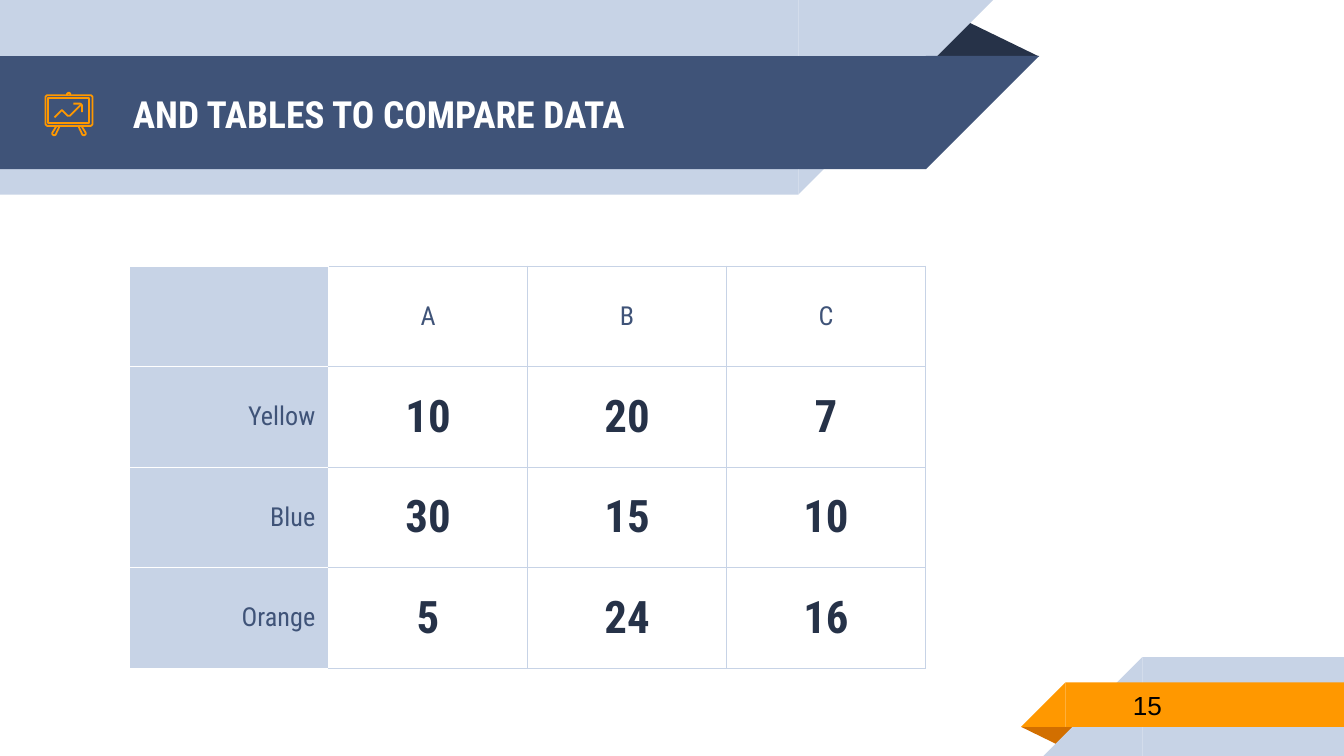
from lxml import etree
from pptx import Presentation
from pptx.dml.color import RGBColor
from pptx.enum.shapes import MSO_SHAPE
from pptx.enum.text import MSO_ANCHOR, MSO_AUTO_SIZE, PP_ALIGN
from pptx.oxml.ns import qn
from pptx.util import Cm, Pt

RECTANGLE, TRIANGLE = MSO_SHAPE.RECTANGLE, MSO_SHAPE.ISOSCELES_TRIANGLE
RIGHT_TRIANGLE = MSO_SHAPE.RIGHT_TRIANGLE
MIDDLE, NO_AUTOFIT = MSO_ANCHOR.MIDDLE, MSO_AUTO_SIZE.NONE
LEFT, CENTER, RIGHT = PP_ALIGN.LEFT, PP_ALIGN.CENTER, PP_ALIGN.RIGHT

WHITE = RGBColor(0xFF, 0xFF, 0xFF)
BLACK = RGBColor(0x00, 0x00, 0x00)
PALE = RGBColor(0xC7, 0xD3, 0xE6)
BLUE = RGBColor(0x3F, 0x53, 0x78)
NAVY = RGBColor(0x26, 0x32, 0x48)
ORANGE = RGBColor(0xFF, 0x98, 0x00)
RUST = RGBColor(0xD2, 0x6F, 0x00)
CONDENSED = "Roboto Condensed"

COMPARISON = [
    ["", "A", "B", "C"],
    ["Yellow", "10", "20", "7"],
    ["Blue", "30", "15", "10"],
    ["Orange", "5", "24", "16"],
]

LEG = [(107, 238), (99, 251), (99, 254), (102, 256), (105, 255), (113, 238)]
BOARD = [(89, 180), (172, 180), (175, 183), (175, 235), (172, 238),
         (89, 238), (86, 235), (86, 183)]
FRAME = [(91, 186), (169, 186), (169, 233), (91, 233)]
HOOK = [(127, 180), (127, 177), (130, 175), (133, 177), (133, 180)]
TREND = [(103, 222), (117, 208), (128, 219), (132, 219), (153, 198)]
ARROW = [(139, 196), (152, 196), (155, 199), (155, 212)]


def add_plain(shapes, kind, box, color):
    """Add a filled preset shape without outline or shadow."""
    shape = shapes.add_shape(kind, *[Cm(length) for length in box])
    shape.shadow.inherit = False
    shape.fill.solid()
    shape.fill.fore_color.rgb = color
    shape.line.fill.background()
    return shape


def add_fold(shapes, box, color, rotation=0):
    """Add the dark triangle that looks like a folded ribbon end."""
    fold = add_plain(shapes, TRIANGLE, box, color)
    fold.adjustments[0] = 0.324
    fold.rotation = rotation


def add_ribbon(shapes, body, tip_width, color, tip_right):
    """Add a ribbon body with a slanted tip on its right or left end."""
    left, top, width, height = body
    add_plain(shapes, RECTANGLE, body, color)
    tip_left = left + width if tip_right else left - tip_width
    tip = add_plain(shapes, RIGHT_TRIANGLE, (tip_left, top, tip_width, height), color)
    tip.element.spPr.find(qn("a:xfrm")).set("flipV" if tip_right else "flipH", "1")


def add_ribbons(slide):
    """Add the header ribbons and the page number ribbons."""
    header = slide.shapes.add_group_shape().shapes
    add_fold(header, (17.48, 0.36, 2.16, 0.71), NAVY)
    add_ribbon(header, (0, 0, 15.09, 3.68), 3.68, PALE, True)
    add_ribbon(header, (0, 1.06, 17.5, 2.14), 2.14, BLUE, True)
    footer = slide.shapes.add_group_shape().shapes
    add_fold(footer, (19.3, 13.74, 1.09, 0.36), RUST, 180)
    add_ribbon(footer, (21.59, 12.42, 3.81, 1.87), 1.87, PALE, False)
    add_ribbon(footer, (20.14, 12.9, 5.26, 0.84), 0.84, ORANGE, False)


def style_text(frame, size, color, font_name, bold=False, align=LEFT):
    """Format the only paragraph of a text frame."""
    paragraph = frame.paragraphs[0]
    paragraph.alignment = align
    font = paragraph.font
    font.size, font.name, font.bold = Pt(size), font_name, bold
    font.color.rgb = color


def fit_frame(shape, text):
    """Fill a shape with vertically centred text and equal insets."""
    frame = shape.text_frame
    frame.text = text
    frame.word_wrap = True
    frame.auto_size = NO_AUTOFIT
    frame.vertical_anchor = MIDDLE
    frame.margin_left = frame.margin_right = Cm(0.25)
    frame.margin_top = frame.margin_bottom = Cm(0.25)
    return frame


def add_title(slide, text):
    """Place the title on the header ribbon, in front of it."""
    title = slide.shapes.title
    title.left, title.top, title.width, title.height = Cm(2.26), Cm(1.09), Cm(14.6), Cm(2.13)
    style_text(fit_frame(title, text), 20, WHITE, CONDENSED, True)
    title.element.getparent().append(title.element)


def add_page_number(slide, number):
    """Write the page number on the orange ribbon."""
    box = slide.shapes.add_textbox(Cm(21.16), Cm(12.88), Cm(4.14), Cm(0.89))
    style_text(fit_frame(box, number), 14, BLACK, "Arial")


def set_borders(cell, colors):
    """Draw the left, right, top and bottom borders of a cell."""
    properties = cell._tc.get_or_add_tcPr()
    for side, color in zip("LRTB", colors):
        line = etree.SubElement(properties, qn(f"a:ln{side}"), w=str(Pt(0.75)))
        fill = etree.SubElement(line, qn("a:solidFill"))
        etree.SubElement(fill, qn("a:srgbClr"), val=str(color))


def style_cell(cell, row, column):
    """Format a cell as row label, column label or value."""
    cell.vertical_anchor = MIDDLE
    cell.margin_left = cell.margin_right = Cm(0.25)
    cell.margin_top = cell.margin_bottom = Cm(0.18)
    if column == 0:
        set_borders(cell, [WHITE] * 4)
        cell.fill.solid()
        cell.fill.fore_color.rgb = PALE
    else:
        set_borders(cell, [WHITE if column == 1 else PALE] + [PALE] * 3)
        cell.fill.background()
    is_value = row > 0 and column > 0
    size, color = (24, NAVY) if is_value else (14, BLUE)
    align = CENTER if column else RIGHT
    style_text(cell.text_frame, size, color, CONDENSED, is_value, align)


def add_comparison(slide, rows):
    """Add the comparison table with equal columns and rows."""
    row_count, column_count = len(rows), len(rows[0])
    table = slide.shapes.add_table(
        row_count, column_count, Cm(2.45), Cm(5.03),
        Cm(3.76 * column_count), Cm(1.9 * row_count)).table
    table.first_row = table.horz_banding = False
    for row, texts in enumerate(rows):
        for column, text in enumerate(texts):
            cell = table.cell(row, column)
            cell.text = text
            style_cell(cell, row, column)


def add_outline(shapes, points, closed=False):
    """Draw an orange outline through points in hundredths of a centimetre."""
    builder = shapes.build_freeform(*points[0], scale=Cm(0.01))
    builder.add_line_segments(points[1:], close=closed)
    outline = builder.convert_to_shape()
    outline.shadow.inherit = False
    outline.fill.background()
    outline.line.color.rgb = ORANGE
    outline.line.width = Pt(0.96)


def add_board_icon(slide):
    """Draw the presentation board with its rising trend."""
    icon = slide.shapes.add_group_shape().shapes
    right_leg = [(261 - x, y) for x, y in LEG]
    for points in (BOARD, FRAME):
        add_outline(icon, points, closed=True)
    for points in (HOOK, LEG, right_leg, TREND, ARROW):
        add_outline(icon, points)


def main():
    """Build and save the slide."""
    deck = Presentation()
    deck.slide_width, deck.slide_height = Cm(25.4), Cm(14.29)
    slide = deck.slides.add_slide(deck.slide_layouts[5])
    add_ribbons(slide)
    add_title(slide, "AND TABLES TO COMPARE DATA")
    add_comparison(slide, COMPARISON)
    add_page_number(slide, "15")
    add_board_icon(slide)
    deck.save("out.pptx")


main()
